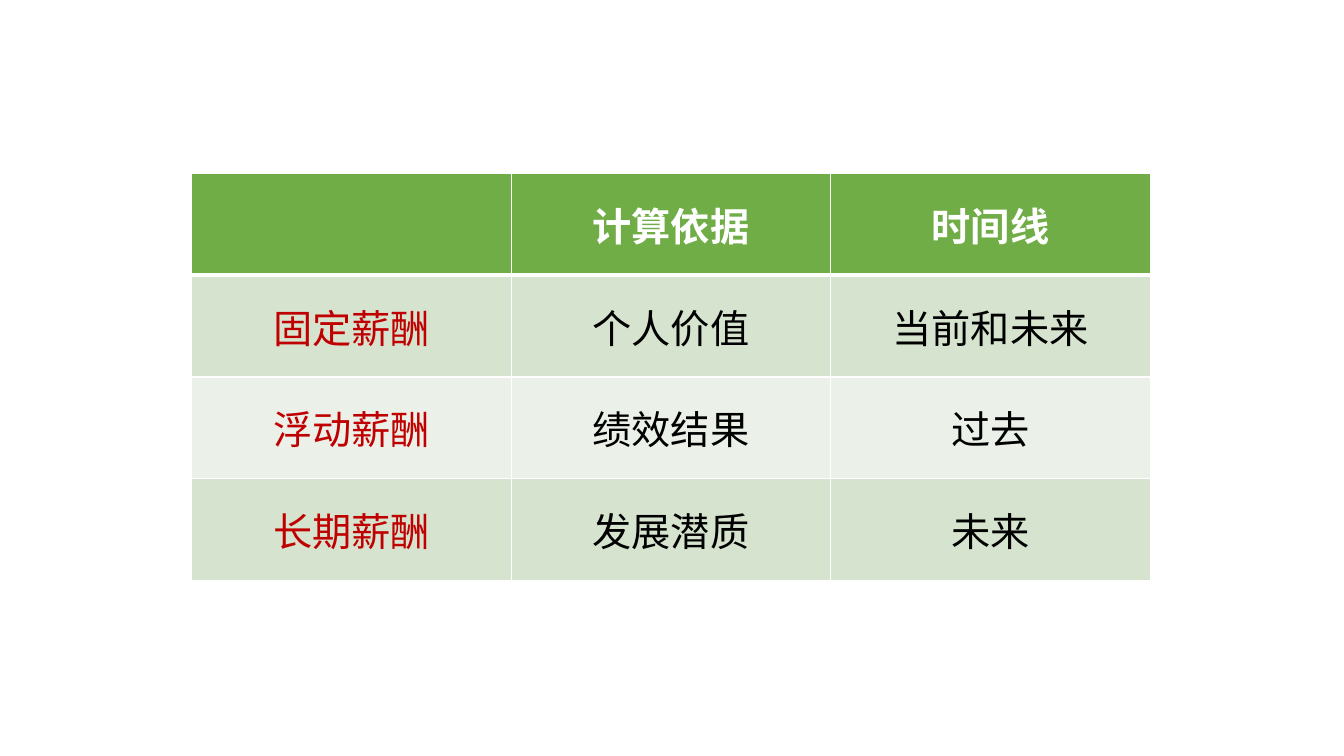
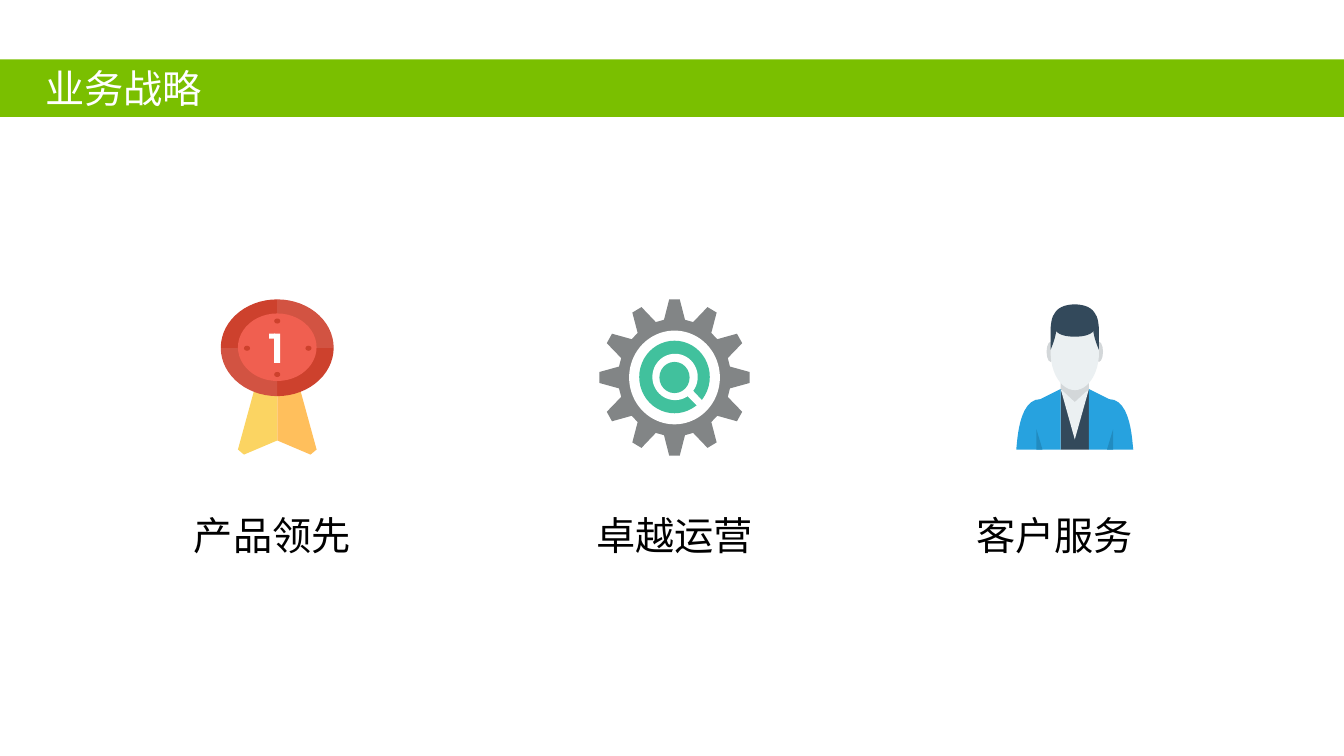
from dataclasses import dataclass
from math import cos, radians, sin

from lxml.etree import SubElement
from pptx import Presentation
from pptx.dml.color import RGBColor
from pptx.enum.shapes import MSO_SHAPE
from pptx.enum.text import MSO_ANCHOR, PP_ALIGN
from pptx.oxml.ns import qn
from pptx.util import Emu, Pt

# Scale: 100 px to the inch
PX = 9144
SLIDE_W, SLIDE_H = 1333, 750
FONT = "Noto Sans CJK SC"
TEXT_SIZE = 28

# Colours
WHITE = RGBColor(0xFF, 0xFF, 0xFF)
BLACK = RGBColor(0x00, 0x00, 0x00)
RED = RGBColor(0xC0, 0x00, 0x00)
BAND_GREEN = RGBColor(0x7A, 0xBF, 0x00)
HEADER_GREEN = RGBColor(0x70, 0xAD, 0x47)
ROW_DARK = RGBColor(0xD5, 0xE3, 0xCF)
ROW_LIGHT = RGBColor(0xEB, 0xF1, 0xE9)
RIBBON_LIGHT = RGBColor(0xFB, 0xD4, 0x62)
RIBBON_DARK = RGBColor(0xFF, 0xBF, 0x5C)
RIM_LIGHT = RGBColor(0xD2, 0x53, 0x42)
RIM_DARK = RGBColor(0xCD, 0x41, 0x2D)
MEDAL_RED = RGBColor(0xF0, 0x5F, 0x50)
GEAR_GREY = RGBColor(0x82, 0x85, 0x86)
TEAL = RGBColor(0x41, 0xC1, 0x9D)
NAVY = RGBColor(0x33, 0x49, 0x5B)
SKIN = RGBColor(0xEB, 0xF0, 0xF2)
SKIN_SHADE = RGBColor(0xD3, 0xD7, 0xD9)
JACKET = RGBColor(0x27, 0xA2, 0xDF)
JACKET_SHADE = RGBColor(0x21, 0x8B, 0xC0)

Step = tuple[float, ...]


@dataclass(frozen=True)
class Preset:
    kind: MSO_SHAPE
    x: int
    y: int
    w: int
    h: int
    color: RGBColor


@dataclass(frozen=True)
class Outline:
    """Steps are (x, y) for a line or (x1, y1, x2, y2, x, y) for a curve."""
    steps: list[Step]
    color: RGBColor


@dataclass(frozen=True)
class Label:
    text: str
    x: int


def px(*lengths: float) -> list[Emu]:
    return [Emu(round(v * PX)) for v in lengths]


# Shared drawing functions
def write(tf, text: str, *, color: RGBColor = BLACK, bold: bool = False,
          align: PP_ALIGN = PP_ALIGN.CENTER) -> None:
    p = tf.paragraphs[0]
    p.alignment = align
    r = p.add_run()
    r.text = text
    r.font.size = Pt(TEXT_SIZE)
    r.font.bold = bold
    r.font.name = FONT
    r.font.color.rgb = color
    SubElement(r.font._element, qn("a:ea")).set("typeface", FONT)


def set_frame(tf, left: int = 10) -> None:
    tf.word_wrap = True
    tf.vertical_anchor = MSO_ANCHOR.MIDDLE
    tf.margin_top = tf.margin_bottom = 0
    tf.margin_left, = px(left)


def paint(sp, color: RGBColor) -> None:
    sp.shadow.inherit = False
    sp.fill.solid()
    sp.fill.fore_color.rgb = color
    sp.line.fill.background()


def flatten(steps: list[Step], pieces: int = 12) -> list[tuple[float, float]]:
    points = [steps[0]]
    for step in steps[1:]:
        if len(step) == 2:
            points.append(step)
            continue
        x0, y0 = points[-1]
        x1, y1, x2, y2, x3, y3 = step
        for i in range(1, pieces + 1):
            t = i / pieces
            a, b, c, d = (1 - t) ** 3, 3 * t * (1 - t) ** 2, 3 * t * t * (1 - t), t ** 3
            points.append((a * x0 + b * x1 + c * x2 + d * x3,
                           a * y0 + b * y1 + c * y2 + d * y3))
    return points


def draw(shapes, part: Preset | Outline):
    if isinstance(part, Preset):
        sp = shapes.add_shape(part.kind, *px(part.x, part.y, part.w, part.h))
    else:
        points = [px(*point) for point in flatten(part.steps)]
        builder = shapes.build_freeform(*points[0])
        builder.add_line_segments(points[1:], close=True)
        sp = builder.convert_to_shape()
    paint(sp, part.color)
    return sp


def draw_icon(s, parts: list[Preset | Outline]) -> None:
    group = s.shapes.add_group_shape()
    for part in parts:
        draw(group.shapes, part)


def ellipse(x: int, y: int, w: int, h: int, color: RGBColor) -> Preset:
    return Preset(MSO_SHAPE.OVAL, x, y, w, h, color)


def rect(x: int, y: int, w: int, h: int, color: RGBColor) -> Preset:
    return Preset(MSO_SHAPE.RECTANGLE, x, y, w, h, color)


def polar(cx: float, cy: float, rx: float, ry: float, degrees: float) -> Step:
    angle = radians(degrees)
    return cx + rx * cos(angle), cy + ry * sin(angle)


def mirrored(axis: int, steps: list[Step], color: RGBColor) -> list[Outline]:
    flipped = [tuple(v if i % 2 else 2 * axis - v for i, v in enumerate(step))
               for step in steps]
    return [Outline(steps, color), Outline(flipped, color)]


def add_band(s, title: str) -> None:
    sp = draw(s.shapes, rect(0, 59, SLIDE_W, 57, BAND_GREEN))
    set_frame(sp.text_frame, left=45)
    write(sp.text_frame, title, color=WHITE, align=PP_ALIGN.LEFT)


# Icons
def medal() -> list[Preset | Outline]:
    cx, cy = 275, 345
    left, right = mirrored(
        cx, [(253, 384), (236, 446), (242, 451), (275, 437), (275, 384)], RIBBON_LIGHT)
    parts = [left, Outline(right.steps, RIBBON_DARK)]
    for quarter in range(4):
        arc = [polar(cx, cy, 56, 48, 90 * quarter + 6 * i) for i in range(16)]
        parts.append(Outline([(cx, cy), *arc], RIM_LIGHT if quarter % 2 else RIM_DARK))
    parts.append(ellipse(236, 311, 78, 67, MEDAL_RED))
    parts += [rect(272, 331, 6, 29, WHITE), rect(267, 331, 6, 5, WHITE)]
    parts += [ellipse(x, y, 6, 5, RIM_DARK)
              for x, y in ((303, 343), (242, 343), (272, 316), (272, 369))]
    return parts


def gear() -> list[Preset | Outline]:
    cx, cy, stretch = 669, 374.5, 1.04
    tooth = ((56, -10.7), (74.7, -4), (74.7, 4), (56, 10.7))
    teeth = [polar(cx, cy, radius, radius * stretch, angle + offset)
             for angle in range(0, 360, 30) for radius, offset in tooth]
    return [
        Outline(teeth, GEAR_GREY),
        ellipse(624, 328, 90, 93, WHITE),
        ellipse(634, 338, 70, 72, TEAL),
        ellipse(647, 351, 45, 46, WHITE),
        ellipse(654, 359, 30, 31, TEAL),
        Outline([(694, 405), (679, 390), (684, 384), (699, 400)], WHITE),
    ]


def person() -> list[Preset | Outline]:
    axis = 1066
    sideburn = [(1048, 324), (1048, 334, 1042, 347, 1042, 347),
                (1042, 347, 1042, 339, 1042, 329), (1042, 320, 1044, 312, 1046, 312),
                (1048, 312, 1048, 315, 1048, 324)]
    sleeve = [(1008, 446), (1009, 439, 1010, 396, 1032, 396), (1052, 386), (1052, 446)]
    hair = [(1088, 319), (1088, 332, 1076, 334, 1066, 334),
            (1056, 334, 1044, 332, 1044, 319), (1044, 307, 1054, 302, 1066, 302),
            (1078, 302, 1088, 307, 1088, 319)]
    return [
        rect(1052, 364, 28, 37, SKIN_SHADE),
        Outline([(1080, 446), (1052, 446), (1052, 386), (1066, 404), (1080, 386)], NAVY),
        ellipse(1086, 339, 8, 20, SKIN_SHADE),
        ellipse(1038, 339, 8, 20, SKIN_SHADE),
        ellipse(1042, 312, 48, 75, SKIN),
        Outline(hair, NAVY),
        *mirrored(axis, sideburn, NAVY),
        *mirrored(axis, sleeve, JACKET),
        Outline([(1066, 436), (1052, 386), (1066, 399), (1080, 386)], SKIN),
        *mirrored(axis, [(1028, 426), (1034, 446), (1028, 446)], JACKET_SHADE),
    ]


# Table
PAY_ROWS = [
    ("", "计算依据", "时间线"),
    ("固定薪酬", "个人价值", "当前和未来"),
    ("浮动薪酬", "绩效结果", "过去"),
    ("长期薪酬", "发展潜质", "未来"),
]


def set_borders(cell, *, top: int = 1, bottom: int = 1) -> None:
    tcPr = cell._tc.get_or_add_tcPr()
    for side, width in (("L", 1), ("R", 1), ("T", top), ("B", bottom)):
        ln = SubElement(tcPr, qn(f"a:ln{side}"), w=str(Pt(width)))
        fill = SubElement(ln, qn("a:solidFill"))
        SubElement(fill, qn("a:srgbClr"), val=str(WHITE))


def add_pay_table(s) -> None:
    col_w, row_h = px(317, 101)
    n_rows, n_cols = len(PAY_ROWS), len(PAY_ROWS[0])
    table = s.shapes.add_table(n_rows, n_cols, *px(190, 172),
                               col_w * n_cols, row_h * n_rows).table
    table.first_row = table.horz_banding = False
    for col in table.columns:
        col.width = col_w
    for i, texts in enumerate(PAY_ROWS):
        table.rows[i].height = row_h
        header = i == 0
        fill = HEADER_GREEN if header else ROW_DARK if i % 2 else ROW_LIGHT
        for j, text in enumerate(texts):
            cell = table.cell(i, j)
            set_borders(cell, top=3 if i == 1 else 1, bottom=3 if header else 1)
            cell.fill.solid()
            cell.fill.fore_color.rgb = fill
            cell.vertical_anchor = MSO_ANCHOR.MIDDLE
            if text:
                color = WHITE if header else BLACK if j else RED
                write(cell.text_frame, text, color=color, bold=header)


# Slides
STRATEGIES = [Label("产品领先", 160), Label("卓越运营", 559), Label("客户服务", 936)]


def add_strategy_slide(s) -> None:
    for parts in (medal(), person(), gear()):
        draw_icon(s, parts)
    for label in STRATEGIES:
        tf = s.shapes.add_textbox(*px(label.x, 502, 220, 58)).text_frame
        set_frame(tf)
        write(tf, label.text)
    add_band(s, "业务战略")


def main() -> None:
    prs = Presentation()
    prs.slide_width, prs.slide_height = px(SLIDE_W, SLIDE_H)
    blank = prs.slide_layouts[6]
    add_pay_table(prs.slides.add_slide(blank))
    add_strategy_slide(prs.slides.add_slide(blank))
    prs.save("out.pptx")


if __name__ == "__main__":
    main()
